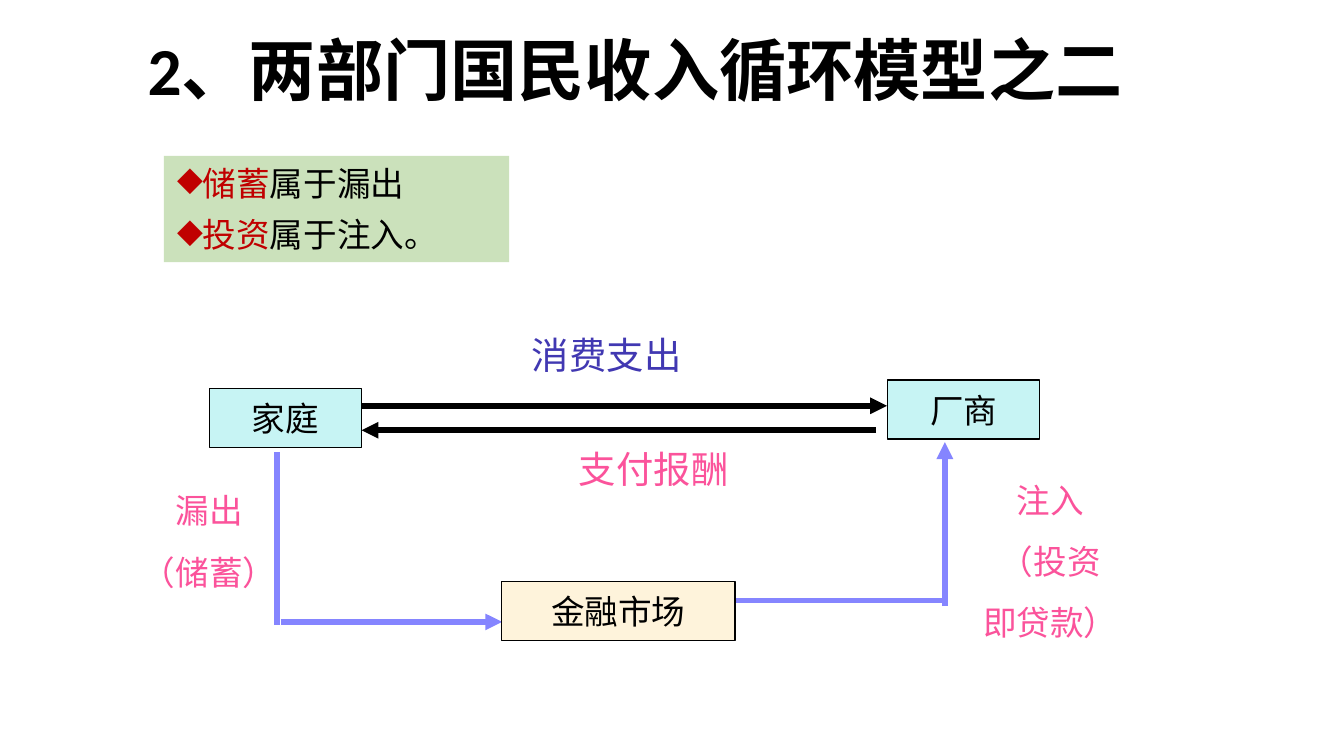
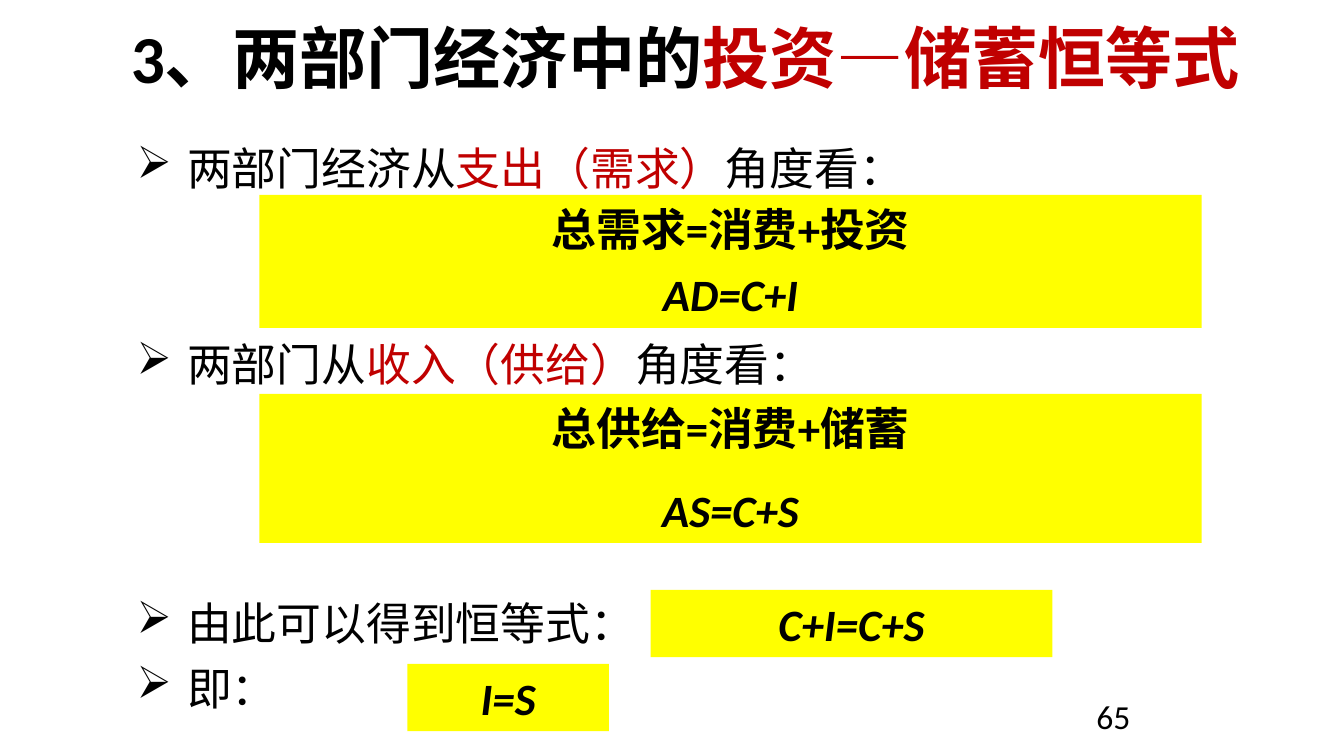
from dataclasses import dataclass
from typing import Optional

from lxml.etree import SubElement
from pptx import Presentation
from pptx.dml.color import RGBColor
from pptx.enum.shapes import MSO_CONNECTOR as Connector, MSO_SHAPE as Preset
from pptx.enum.text import MSO_ANCHOR as Anchor, MSO_AUTO_SIZE as AutoSize, PP_ALIGN as Align
from pptx.oxml.ns import qn
from pptx.util import Pt


# Colours, fonts and type sizes
@dataclass(frozen=True)
class Theme:
    black: str = "000000"
    red: str = "C00000"
    pink: str = "FB539B"
    indigo: str = "4138B2"
    flow: str = "8585FF"
    sector: str = "C7F4F4"
    market: str = "FEF3DB"
    note: str = "CBE1BB"
    formula: str = "FFFF00"
    latin: str = "Calibri"
    node_font: str = "Roboto"
    body_font: str = "Noto Sans CJK SC"
    title_size: float = 36
    body_size: float = 24
    label_size: float = 20
    small_size: float = 18


THEME = Theme()


@dataclass(frozen=True)
class Area:
    left: float
    top: float
    width: float
    height: float


@dataclass(frozen=True)
class Span:
    text: str
    color: Optional[str] = None


@dataclass(frozen=True)
class Para:
    spans: tuple[Span, ...]
    before: float = 0
    after: float = 0
    italic: bool = False


@dataclass(frozen=True)
class Style:
    size: float = THEME.small_size
    font: str = THEME.latin
    color: str = THEME.black
    bold: bool = False
    align: Align = Align.CENTER
    bullet: str = ""
    bullet_color: str = THEME.black
    indent: float = 0


@dataclass(frozen=True)
class Box:
    area: Area
    paras: tuple[Para, ...]
    style: Style
    fill: Optional[str] = None
    outlined: bool = False
    wrap: bool = True
    anchor: Anchor = Anchor.TOP


@dataclass(frozen=True)
class Flow:
    start: tuple[float, float]
    end: tuple[float, float]
    color: str
    arrow: bool = True


def rgb(color: str) -> RGBColor:
    return RGBColor.from_string(color)


def line(text: str, before: float = 0, italic: bool = False) -> Para:
    return Para((Span(text),), before, italic=italic)


# Text
def add_bullet(paragraph, style: Style) -> None:
    properties = paragraph._p.get_or_add_pPr()
    properties.set("marL", str(Pt(style.indent)))
    properties.set("indent", str(-Pt(style.indent)))
    color = SubElement(properties, qn("a:buClr"))
    SubElement(color, qn("a:srgbClr"), val=style.bullet_color)
    SubElement(properties, qn("a:buChar"), char=style.bullet)


def write(frame, paras: tuple[Para, ...], style: Style) -> None:
    for index, para in enumerate(paras):
        paragraph = frame.add_paragraph() if index else frame.paragraphs[0]
        if style.bullet:
            add_bullet(paragraph, style)
        paragraph.alignment = style.align
        paragraph.space_before = Pt(para.before)
        paragraph.space_after = Pt(para.after)
        font = paragraph.font
        font.name, font.size = style.font, Pt(style.size)
        font.bold, font.italic = style.bold, para.italic
        uniform = not any(span.color for span in para.spans)
        if uniform:
            font.color.rgb = rgb(style.color)
        for span in para.spans:
            run = paragraph.add_run()
            run.text = span.text
            if not uniform:
                run.font.color.rgb = rgb(span.color or style.color)


def set_frame(frame, wrap: bool, anchor: Anchor) -> None:
    frame.auto_size = AutoSize.NONE
    frame.word_wrap = wrap
    frame.vertical_anchor = anchor


# Slide parts
def add_page(deck, area: Area, *spans: Span):
    page = deck.slides.add_slide(deck.slide_layouts[5])
    title = page.shapes.title
    title.left, title.top = Pt(area.left), Pt(area.top)
    title.width, title.height = Pt(area.width), Pt(area.height)
    set_frame(title.text_frame, True, Anchor.TOP)
    write(title.text_frame, (Para(spans),), Style(THEME.title_size, bold=True))
    return page


def add_box(page, box: Box) -> None:
    area = box.area
    place = [Pt(value) for value in (area.left, area.top, area.width, area.height)]
    if box.fill:
        shape = page.shapes.add_shape(Preset.RECTANGLE, *place)
        shape.shadow.inherit = False
        shape.fill.solid()
        shape.fill.fore_color.rgb = rgb(box.fill)
        if box.outlined:
            shape.line.color.rgb = rgb(THEME.black)
            shape.line.width = Pt(0.75)
        else:
            shape.line.fill.background()
    else:
        shape = page.shapes.add_textbox(*place)
    set_frame(shape.text_frame, box.wrap, box.anchor)
    write(shape.text_frame, box.paras, box.style)


def add_flow(page, flow: Flow) -> None:
    points = [Pt(value) for value in flow.start + flow.end]
    connector = page.shapes.add_connector(Connector.STRAIGHT, *points)
    connector.line.color.rgb = rgb(flow.color)
    connector.line.width = Pt(3)
    if flow.arrow:
        SubElement(connector.line._get_or_add_ln(), qn("a:tailEnd"), type="triangle")
    SubElement(connector._element.spPr, qn("a:effectLst"))


def node(text: str, area: Area, fill: str) -> Box:
    return Box(area, (line(text),), Style(font=THEME.node_font), fill,
               outlined=True, wrap=False, anchor=Anchor.MIDDLE)


def label(area: Area, *texts: str, size: float = THEME.small_size,
          color: str = THEME.pink, wrap: bool = True) -> Box:
    paras = tuple(line(text, 11.2 if index else 0) for index, text in enumerate(texts))
    return Box(area, paras, Style(size, color=color), wrap=wrap)


def formula(area: Area, *paras: Para) -> Box:
    return Box(area, paras, Style(THEME.body_size, bold=True), THEME.formula)


# Circular flow between the two sectors and the financial market
def build_flow_page(deck) -> None:
    page = add_page(deck, Area(25.2, 11.5, 630, 59), Span("2、两部门国民收入循环模型之二"))
    flows = (
        Flow((193.7, 217.4), (475.2, 217.4), THEME.black),
        Flow((469.4, 230.5), (193.7, 230.5), THEME.black),
        Flow((148.5, 242.3), (148.5, 334.8), THEME.flow, arrow=False),
        Flow((150.5, 333.2), (269, 333.2), THEME.flow),
        Flow((393.5, 321.8), (506.2, 321.8), THEME.flow, arrow=False),
        Flow((506.2, 324.7), (506.2, 236.9), THEME.flow),
    )
    boxes = (
        node("家庭", Area(112.3, 208.1, 81.4, 31.7), THEME.sector),
        node("厂商", Area(475.6, 203.6, 81.4, 31.7), THEME.sector),
        node("金融市场", Area(268.6, 311.6, 125.3, 31.7), THEME.market),
        label(Area(277.9, 174.2, 94.3, 31.7), "消费支出",
              size=THEME.label_size, color=THEME.indigo, wrap=False),
        label(Area(275, 235.4, 150.5, 67.7), "支付报酬", size=THEME.label_size),
        label(Area(61.9, 259.2, 100.1, 61.9), "漏出", "（储蓄）"),
        label(Area(500.4, 253.4, 124.6, 95), "注入", "（投资", "即贷款）"),
        Box(Area(87.8, 83.5, 185, 56.9),
            tuple(Para((Span(term, THEME.red), Span(rest)), after=6)
                  for term, rest in (("储蓄", "属于漏出"), ("投资", "属于注入。"))),
            Style(align=Align.LEFT, bullet="◆", bullet_color=THEME.red), THEME.note),
    )
    for flow in flows:
        add_flow(page, flow)
    for box in boxes:
        add_box(page, box)


# Investment and saving identity
def build_identity_page(deck) -> None:
    page = add_page(deck, Area(56.2, 5, 622, 51.1),
                    Span("3、两部门经济中的"), Span("投资—储蓄恒等式", THEME.red))
    steps = (
        Para((Span("两部门经济从"), Span("支出（需求）", THEME.red), Span("角度看："))),
        Para((Span("两部门从"), Span("收入（供给）", THEME.red), Span("角度看：")), before=76),
        line("由此可以得到恒等式：", before=110),
        line("即：", before=6),
    )
    body = Style(THEME.body_size, THEME.body_font, align=Align.LEFT, bullet="➢", indent=27)
    boxes = (
        Box(Area(580.3, 369.4, 98, 26.6), (line("65"),), Style(align=Align.LEFT)),
        Box(Area(66.2, 72, 588.2, 321.8), steps, body),
        formula(Area(139, 104.4, 504.7, 71.3),
                line("总需求=消费+投资"), line("AD=C+I", 6, italic=True)),
        formula(Area(139, 211, 504.7, 79.9),
                line("总供给=消费+储蓄"), line("AS=C+S", 15, italic=True)),
        formula(Area(348.5, 316.1, 215.3, 36), line("C+I=C+S", italic=True)),
        formula(Area(218.2, 355.7, 108, 36), line("I=S", italic=True)),
    )
    for box in boxes:
        add_box(page, box)


def main() -> None:
    deck = Presentation()
    deck.slide_width, deck.slide_height = Pt(720), Pt(405)
    build_flow_page(deck)
    build_identity_page(deck)
    deck.save("out.pptx")


if __name__ == "__main__":
    main()
